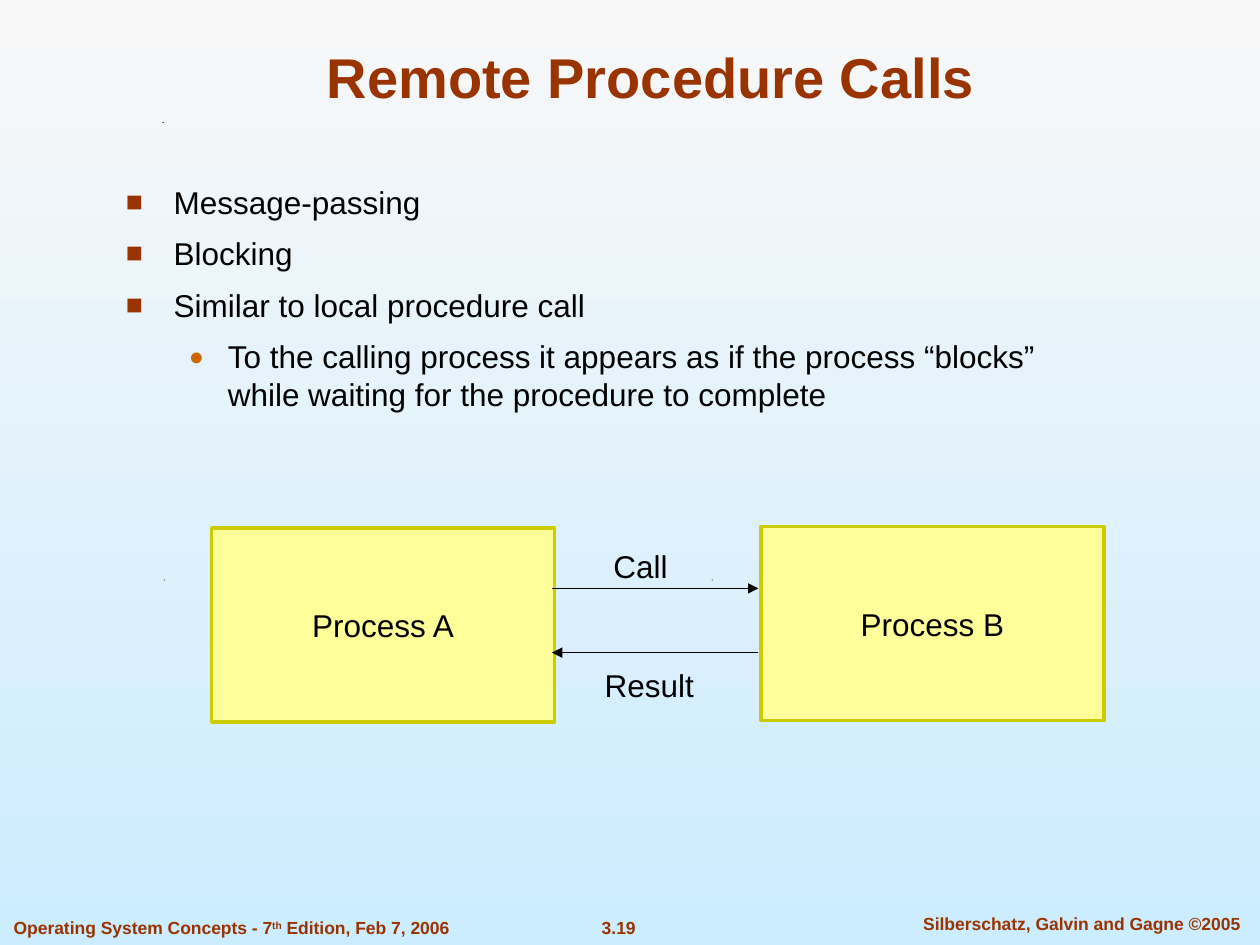
from dataclasses import dataclass

from lxml import etree
from pptx import Presentation
from pptx.dml.color import RGBColor
from pptx.enum.shapes import MSO_CONNECTOR, MSO_SHAPE
from pptx.enum.text import MSO_ANCHOR, MSO_AUTO_SIZE, PP_ALIGN
from pptx.oxml.ns import qn
from pptx.util import Inches, Pt

LEFT, CENTER = PP_ALIGN.LEFT, PP_ALIGN.CENTER
TOP, MIDDLE, BOTTOM = MSO_ANCHOR.TOP, MSO_ANCHOR.MIDDLE, MSO_ANCHOR.BOTTOM
NO_FIT = MSO_AUTO_SIZE.NONE
RECT, STRAIGHT = MSO_SHAPE.RECTANGLE, MSO_CONNECTOR.STRAIGHT


@dataclass(frozen=True)
class Theme:
    font: str = "Arial"
    sky: str = "F8F8F8"
    ground: str = "CCECFF"
    rust: str = "993300"
    amber: str = "CC6600"
    ink: str = "000000"
    pale: str = "FFFF99"
    edge: str = "CCCC00"
    head: float = 32
    text: float = 18
    foot: float = 10


THEME = Theme()
# Per level: indent, hang, mark, mark colour, mark size in percent
LEVELS = [
    (0.38, 0.38, "■", THEME.rust, 90),
    (0.81, 0.31, "●", THEME.amber, 80),
]
POINTS = [
    (0, "Message-passing"),
    (0, "Blocking"),
    (0, "Similar to local procedure call"),
    (1, "To the calling process it appears as if the process “blocks” "
        "while waiting for the procedure to complete"),
]


def rgb(code):
    return RGBColor.from_string(code)


def add_run(para, text, size, color=THEME.ink, bold=False):
    run = para.add_run()
    run.text = text
    font = run.font
    font.name, font.size, font.bold = THEME.font, Pt(size), bold
    font.color.rgb = rgb(color)
    return run


def set_frame(shape, wrap=True, anchor=TOP, align=LEFT):
    """Set up the text frame and return its first paragraph."""
    frame = shape.text_frame
    frame.word_wrap, frame.auto_size = wrap, NO_FIT
    frame.vertical_anchor = anchor
    para = frame.paragraphs[0]
    para.alignment = align
    return para


def add_label(slide, box, text):
    shape = slide.shapes.add_textbox(*map(Inches, box))
    add_run(set_frame(shape, wrap=False), text, THEME.text)


def add_node(slide, box, text):
    shape = slide.shapes.add_shape(RECT, *map(Inches, box))
    shape.shadow.inherit = False
    shape.fill.solid()
    shape.fill.fore_color.rgb = rgb(THEME.pale)
    shape.line.color.rgb = rgb(THEME.edge)
    shape.line.width = Pt(2)
    add_run(set_frame(shape, False, MIDDLE, CENTER), text, THEME.text)


def add_arrow(slide, start, end, y):
    ends = map(Inches, (start, y, end, y))
    line = slide.shapes.add_connector(STRAIGHT, *ends)
    line.line.color.rgb = rgb(THEME.ink)
    line.line.width = Pt(0.75)
    etree.SubElement(line.line._get_or_add_ln(), qn("a:tailEnd"),
                     type="triangle")
    etree.SubElement(line._element.spPr, qn("a:effectLst"))


def add_back(slide):
    fill = slide.background.fill
    fill.gradient()
    fill.gradient_angle = 270
    for stop, color, place in zip(fill.gradient_stops,
                                  (THEME.sky, THEME.ground), (0, 1)):
        stop.color.rgb = rgb(color)
        stop.position = place


def add_specks(slide):
    """Place the tiny dots of the slide design."""
    side = Inches(0.01)
    for x, y in ((1.3, 4.6), (5.65, 4.6), (1.29, 0.97)):
        left, top = Inches(x), Inches(y)
        pen = slide.shapes.build_freeform(left, top + side)
        pen.add_line_segments([(left, top), (left + side, top)])
        speck = pen.convert_to_shape()
        speck.shadow.inherit = False
        speck.fill.solid()
        speck.fill.fore_color.rgb = rgb(THEME.ink)
        speck.line.fill.background()


def add_foot(slide, box):
    x, y, w, h = box
    parts = [
        ((x + 4.42, y, 0.98, h), CENTER, ["3.19"]),
        ((x + w - 2.9, y - 0.03, 2.97, h), CENTER,
         ["Silberschatz, Galvin and Gagne ©2005"]),
        ((x + 0.01, y, 3.66, h), LEFT,
         ["Operating System Concepts - 7", "th", " Edition, Feb 7, 2006"]),
    ]
    for place, align, texts in parts:
        shape = slide.shapes.add_textbox(*map(Inches, place))
        para = set_frame(shape, wrap=False, align=align)
        para.space_before = Pt(6.2)
        for text in texts:
            run = add_run(para, text, THEME.foot, THEME.rust, True)
            if text == "th":
                run.font._element.set("baseline", "30000")


def add_title(slide, box, text):
    title = slide.shapes.title
    title.left, title.top, title.width, title.height = map(Inches, box)
    para = set_frame(title, anchor=BOTTOM, align=CENTER)
    add_run(para, text, THEME.head, THEME.rust, True)


def add_mark(para, level):
    """Give the paragraph the indent and bullet of its level."""
    indent, hang, mark, color, size = LEVELS[level]
    para.level = level
    props = para._p.get_or_add_pPr()
    props.set("marL", str(Inches(indent)))
    props.set("indent", str(-Inches(hang)))
    tint = etree.SubElement(props, qn("a:buClr"))
    etree.SubElement(tint, qn("a:srgbClr"), val=color)
    etree.SubElement(props, qn("a:buSzPct"), val=str(size * 1000))
    etree.SubElement(props, qn("a:buFont"), typeface=THEME.font)
    etree.SubElement(props, qn("a:buChar"), char=mark)


def add_points(slide, box, points):
    shape = slide.shapes.add_textbox(*map(Inches, box))
    para = set_frame(shape)
    for i, (level, text) in enumerate(points):
        if i:
            para = shape.text_frame.add_paragraph()
        para.space_before = Pt(7.9)
        add_mark(para, level)
        add_run(para, text, THEME.text)


def add_flow(slide, box):
    """Draw two processes with a call and a result between them."""
    x, y, w, h = box
    wide = 2.72
    far = x + w - wide
    add_node(slide, (x, y + 0.01, wide, h), "Process A")
    add_node(slide, (far, y, wide, h), "Process B")
    near, end = x + wide - 0.02, far - 0.02
    add_arrow(slide, near, end, y + 0.49)
    add_label(slide, (near + 0.39, y + 0.11, 0.63, 0.4), "Call")
    add_arrow(slide, end, near, y + 1)
    add_label(slide, (near + 0.32, y + 1.06, 0.91, 0.4), "Result")


def main():
    deck = Presentation()
    deck.slide_width, deck.slide_height = Inches(10), Inches(7.5)
    slide = deck.slides.add_slide(deck.slide_layouts[5])
    add_back(slide)
    add_specks(slide)
    add_foot(slide, (0, 7.23, 10, 0.27))
    add_title(slide, (0.75, 0.25, 8.83, 0.67), "Remote Procedure Calls")
    add_points(slide, (0.9, 1.4, 8.04, 4.9), POINTS)
    add_flow(slide, (1.68, 4.18, 7.08, 1.54))
    deck.save("out.pptx")


if __name__ == "__main__":
    main()
